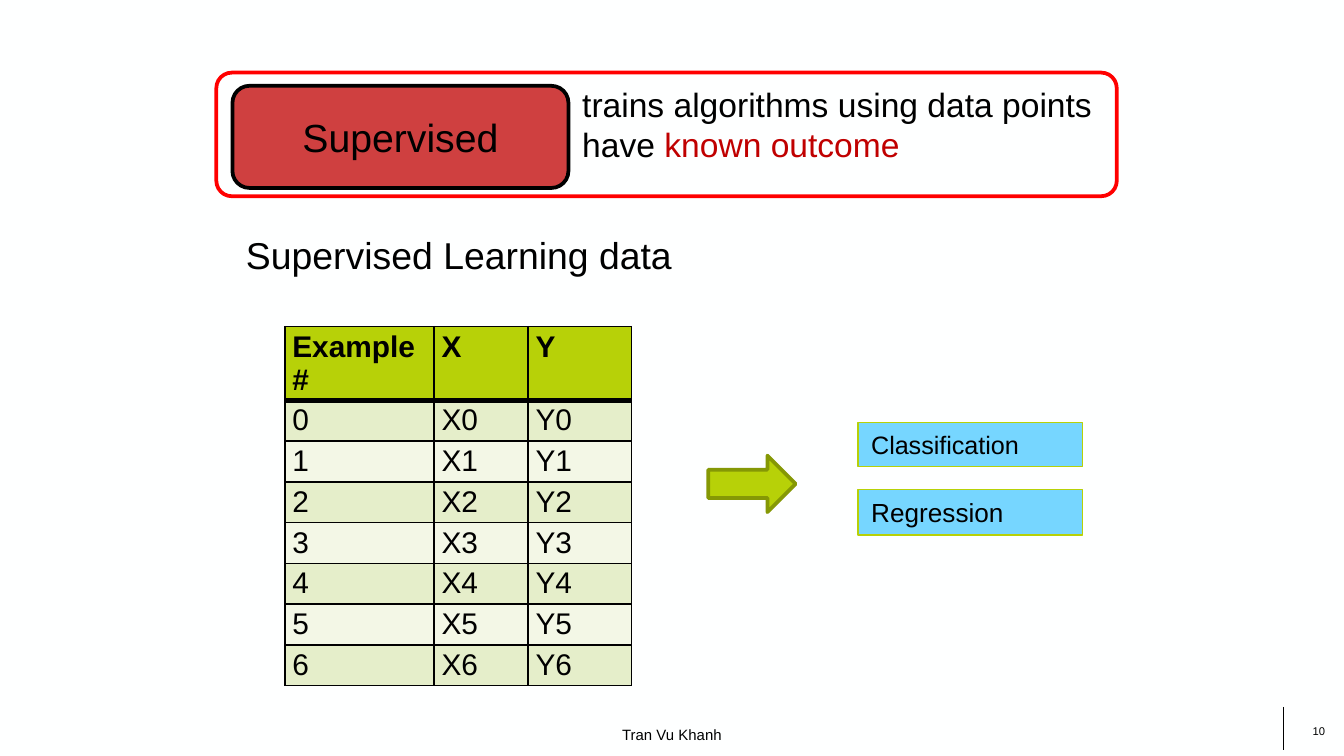
from dataclasses import dataclass

from lxml import etree
from pptx import Presentation, util as u
from pptx.dml.color import RGBColor
from pptx.enum import shapes, text
from pptx.oxml.ns import qn

COLORS = {
    "paper": "FEFFFF", "ink": "000000", "accent": "C00000", "frame": "FF0000",
    "lime": "B7D108", "olive": "859805", "sky": "76D6FF",
    "band_dark": "E5EECA", "band_light": "F3F7E6",
}
FONT = "Arial"
SLIDE_W = u.Inches(10)
SLIDE_H = SLIDE_W * 9 // 16
TOP, MIDDLE = text.MSO_ANCHOR.TOP, text.MSO_ANCHOR.MIDDLE
LEFT, CENTER, RIGHT = text.PP_ALIGN.LEFT, text.PP_ALIGN.CENTER, text.PP_ALIGN.RIGHT


def across(share: float) -> int:
    return int(SLIDE_W * share / 100)


def down(share: float) -> int:
    return int(SLIDE_H * share / 100)


@dataclass
class Box:
    """Left, top, width and height in percent of the slide."""
    x: float
    y: float
    w: float
    h: float

    def emu(self) -> tuple[int, int, int, int]:
        return across(self.x), down(self.y), across(self.w), down(self.h)


@dataclass
class Task:
    label: str
    box: Box
    size: float


TASKS = [
    Task("Classification", Box(63.84, 55.86, 16.7, 5.87), 13.5),
    Task("Regression", Box(63.84, 64.75, 16.7, 6.04), 14),
]


def rgb(name: str) -> RGBColor:
    return RGBColor.from_string(COLORS[name])


def write(tf, *parts, size=18, bold=False, align=LEFT, anchor=TOP, inset=(0.1, 0.05)) -> None:
    """Fill one paragraph; a part is plain text or a (text, colour) pair."""
    tf.word_wrap = True
    tf.auto_size = text.MSO_AUTO_SIZE.NONE
    tf.vertical_anchor = anchor
    tf.margin_left = tf.margin_right = u.Inches(inset[0])
    tf.margin_top = tf.margin_bottom = u.Inches(inset[1])
    p = tf.paragraphs[0]
    p.alignment = align
    for part in parts:
        words, color = part if isinstance(part, tuple) else (part, "ink")
        r = p.add_run()
        r.text = words
        r.font.name, r.font.size, r.font.bold = FONT, u.Pt(size), bold
        r.font.color.rgb = rgb(color)


def add_text(s, box: Box, *parts, **fmt) -> None:
    write(s.shapes.add_textbox(*box.emu()).text_frame, *parts, **fmt)


def add_shape(s, kind, box: Box, line: str, width: float, fill=None, alpha=None, adj=None):
    sp = s.shapes.add_shape(kind, *box.emu())
    sp.shadow.inherit = False
    sp.line.color.rgb, sp.line.width = rgb(line), u.Pt(width)
    if fill:
        sp.fill.solid()
        sp.fill.fore_color.rgb = rgb(fill)
    else:
        sp.fill.background()
    if alpha:
        color = sp._element.spPr.find(qn("a:solidFill"))[0]
        etree.SubElement(color, qn("a:alpha"), val=str(alpha * 1000))
    if adj:
        sp.adjustments[0] = adj
    return sp


def set_borders(cell, bottom: float = 1, top: float = 1) -> None:
    tc_pr = cell._tc.get_or_add_tcPr()
    widths = {"lnL": 1, "lnR": 1, "lnT": top, "lnB": bottom}
    for i, (side, width) in enumerate(widths.items()):
        ln = etree.Element(qn(f"a:{side}"), w=str(u.Pt(width)))
        fill = etree.SubElement(ln, qn("a:solidFill"))
        etree.SubElement(fill, qn("a:srgbClr"), val=COLORS["ink"])
        tc_pr.insert(i, ln)


def add_data_table(s, x: float, y: float, cols: list[float], row_h: float) -> None:
    rows = [("Example #", "X", "Y")] + [(f"{i}", f"X{i}", f"Y{i}") for i in range(7)]
    box = Box(x, y, sum(cols), row_h * len(rows))
    table = s.shapes.add_table(len(rows), len(cols), *box.emu()).table
    for column, width in zip(table.columns, cols):
        column.width = across(width)
    for i, row in enumerate(rows):
        table.rows[i].height = down(row_h)
        band = "lime" if i == 0 else "band_dark" if i % 2 else "band_light"
        for j, words in enumerate(row):
            cell = table.cell(i, j)
            cell.fill.solid()
            cell.fill.fore_color.rgb = rgb(band)
            cell.margin_left = cell.margin_right = u.Pt(4)
            cell.margin_top = cell.margin_bottom = u.Pt(2)
            set_borders(cell, bottom=3 if i == 0 else 1, top=3 if i == 1 else 1)
            r = cell.text_frame.paragraphs[0].add_run()
            r.text = words
            r.font.name, r.font.size, r.font.bold = FONT, u.Pt(16), i == 0
            r.font.color.rgb = rgb("ink")


def main() -> None:
    prs = Presentation()
    prs.slide_width, prs.slide_height = SLIDE_W, SLIDE_H
    s = prs.slides.add_slide(prs.slide_layouts[5])
    s.background.fill.solid()
    s.background.fill.fore_color.rgb = rgb("paper")
    shape = shapes.MSO_SHAPE

    # Title
    title = s.shapes.title
    title.left, title.top, title.width, title.height = Box(17.3, 29.87, 42.3, 7.82).emu()
    write(title.text_frame, "Supervised Learning data", size=20)

    # Definition
    add_text(s, Box(42.34, 10.16, 43.3, 12.62),
             "trains algorithms using data points have ", ("known outcome", "accent"))
    sp = add_shape(s, shape.ROUNDED_RECTANGLE, Box(17.3, 11.36, 25, 13.51), "ink", 2,
                   fill="accent", alpha=75)
    write(sp.text_frame, "Supervised", size=21, align=CENTER, anchor=MIDDLE)
    add_shape(s, shape.ROUNDED_RECTANGLE, Box(16.1, 9.6, 67, 16.36), "frame", 2, adj=0.126)

    # Training data and the tasks it leads to
    add_data_table(s, 21.2, 43.2, cols=[11.1, 7, 7.7], row_h=5.39)
    add_shape(s, shape.RIGHT_ARROW, Box(52.7, 60.27, 6.5, 7.47), "olive", 2, fill="lime")
    for task in TASKS:
        sp = add_shape(s, shape.RECTANGLE, task.box, "lime", 0.75, fill="sky")
        write(sp.text_frame, task.label, size=task.size)

    # Footer
    add_text(s, Box(38.1, 94.8, 23.8, 4.8), "Tran Vu Khanh",
             size=8, align=CENTER, anchor=MIDDLE)
    add_text(s, Box(84.1, 93.37, 14.5, 6.58), "10",
             size=6, align=RIGHT, anchor=MIDDLE, inset=(0, 0))
    rule = s.shapes.add_connector(shapes.MSO_CONNECTOR.STRAIGHT,
                                  across(95.5), down(93.51), across(95.5), down(99.2))
    rule.line.color.rgb, rule.line.width = rgb("ink"), u.Pt(0.75)
    etree.SubElement(rule._element.spPr, qn("a:effectLst"))

    prs.save("out.pptx")


if __name__ == "__main__":
    main()
